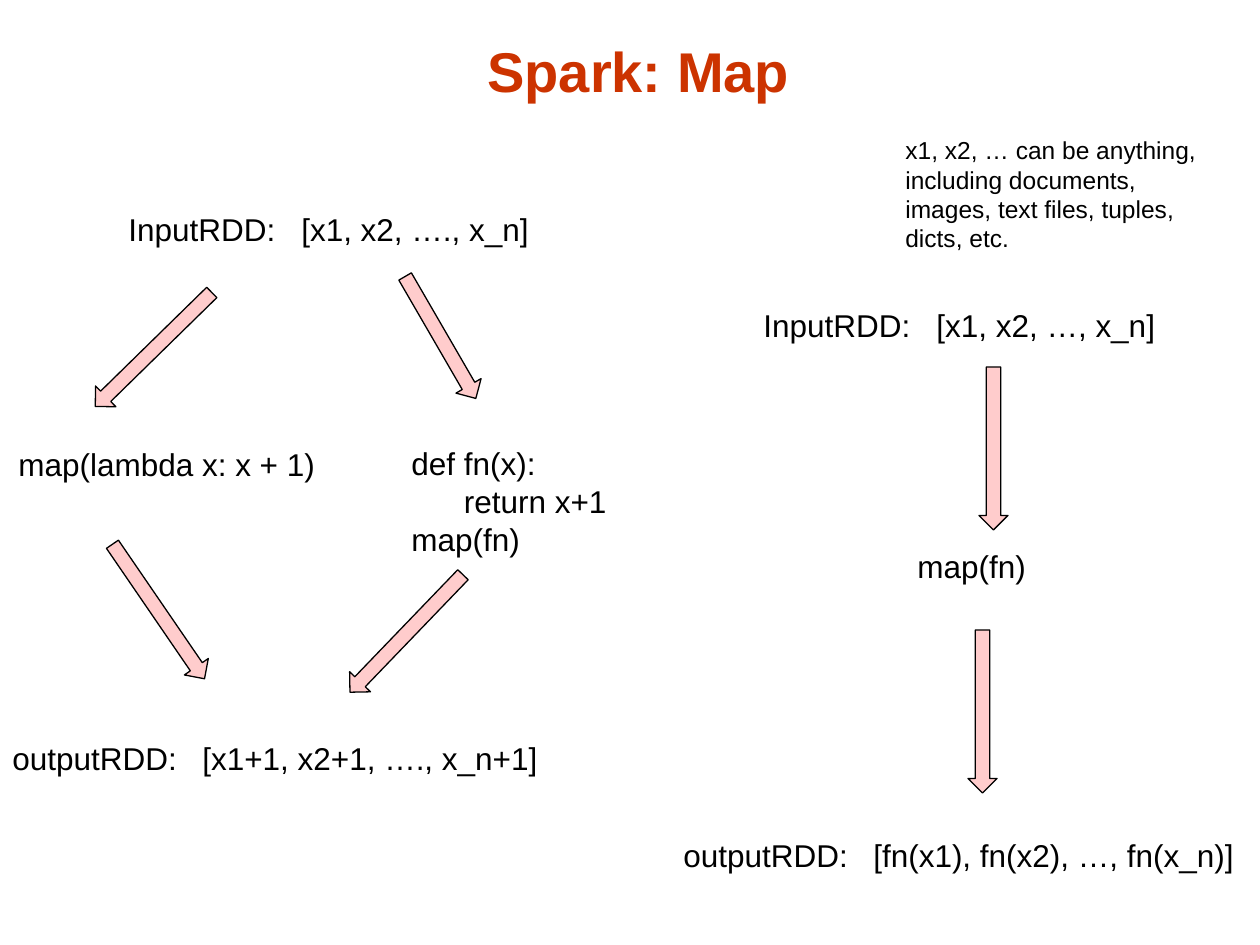
from pptx import Presentation, util as u
from pptx.dml.color import RGBColor
from pptx.enum import shapes, text
from pptx.oxml import parse_xml
from pptx.oxml.ns import nsdecls

PX = 914400 / 126
FONT = "Arial"
TITLE_RED = RGBColor(0xCC, 0x33, 0x00)
ARROW_PINK = RGBColor(0xFF, 0xCC, 0xCC)
BLACK = RGBColor(0, 0, 0)
ARROW_WIDTH = 29
ARROW_LENGTH = 163
LINE_HEIGHT = 50
INPUT_TAB = 173
OUTPUT_TAB = 190


def px(length):
    """Turn pixels into EMU."""
    return u.Emu(round(length * PX))


def style(paragraph, size, color=BLACK, bold=False):
    """Format one paragraph."""
    font = paragraph.font
    font.name, font.size, font.bold = FONT, u.Pt(size), bold
    font.color.rgb = color


def add_label(parent, origin, box, wording, tab=None, size=18):
    """Add a text box placed relative to origin, with an optional tab stop."""
    left, top, width, height = box
    label = parent.add_textbox(px(origin[0] + left), px(origin[1] + top), px(width), px(height))
    frame = label.text_frame
    frame.word_wrap = True
    frame.text = wording
    for paragraph in frame.paragraphs:
        if tab:
            paragraph._p.get_or_add_pPr().append(parse_xml(
                f'<a:tabLst {nsdecls("a")}><a:tab pos="{px(tab)}" algn="l"/></a:tabLst>'))
        style(paragraph, size)


def add_arrow(parent, origin, left, top, rotation=0, length=ARROW_LENGTH):
    """Add a block arrow placed relative to origin."""
    arrow = parent.add_shape(shapes.MSO_SHAPE.DOWN_ARROW, px(origin[0] + left),
                             px(origin[1] + top), px(ARROW_WIDTH), px(length))
    arrow.rotation = rotation
    arrow.shadow.inherit = False
    arrow.fill.solid()
    arrow.fill.fore_color.rgb = ARROW_PINK
    arrow.line.color.rgb = BLACK
    arrow.line.width = u.Pt(0.75)


def add_title(slide, left, top, width, height):
    """Place and format the slide title."""
    title = slide.shapes.title
    title.left, title.top, title.width, title.height = map(px, (left, top, width, height))
    frame = title.text_frame
    frame.text = "Spark: Map"
    frame.vertical_anchor = text.MSO_ANCHOR.BOTTOM
    frame.paragraphs[0].alignment = text.PP_ALIGN.CENTER
    style(frame.paragraphs[0], 32, TITLE_RED, True)


def add_example(slide, left, top):
    """Draw the increment example with its lambda and named function branches."""
    parent, origin = slide.shapes, (left, top)
    add_label(parent, origin, (116, 0, 430, LINE_HEIGHT), "InputRDD:\t[x1, x2, …., x_n]", INPUT_TAB)
    add_label(parent, origin, (6, 235, 325, LINE_HEIGHT), "map(lambda x: x + 1)")
    add_label(parent, origin, (399, 234, 223, 127), "def fn(x):\n      return x+1\nmap(fn)")
    add_label(parent, origin, (0, 529, 557, LINE_HEIGHT),
              "outputRDD:\t[x1+1, x2+1, …., x_n+1]", OUTPUT_TAB)
    add_arrow(parent, origin, 139, 64, 45.6)
    add_arrow(parent, origin, 426, 63, 329.9, 141)
    add_arrow(parent, origin, 144, 326, 325.6)
    add_arrow(parent, origin, 392, 348, 43.9)


def add_general_case(slide, left, top):
    """Draw the general flow from input through map(fn) to output as a group."""
    parent, origin = slide.shapes.add_group_shape().shapes, (left, top)
    add_label(parent, origin, (83, 0, 421, LINE_HEIGHT), "InputRDD:\t[x1, x2, …, x_n]", INPUT_TAB)
    add_arrow(parent, origin, 311, 67)
    add_label(parent, origin, (237, 241, 135, LINE_HEIGHT), "map(fn)")
    add_arrow(parent, origin, 300, 330)
    add_label(parent, origin, (3, 530, 582, LINE_HEIGHT),
              "outputRDD:\t[fn(x1), fn(x2), …, fn(x_n)]", OUTPUT_TAB)


def main():
    """Build and save the slide."""
    deck = Presentation()
    deck.slide_width, deck.slide_height = u.Inches(10), u.Inches(7.5)
    slide = deck.slides.add_slide(deck.slide_layouts[5])
    add_title(slide, 82, 26, 1113, 84)
    add_example(slide, 0, 204)
    add_label(slide.shapes, (893, 129), (0, 0, 343, 131),
              "x1, x2, … can be anything, including documents, images, text files, "
              "tuples, dicts, etc.", size=14)
    add_general_case(slide, 668, 300)
    deck.save("out.pptx")


if __name__ == "__main__":
    main()
